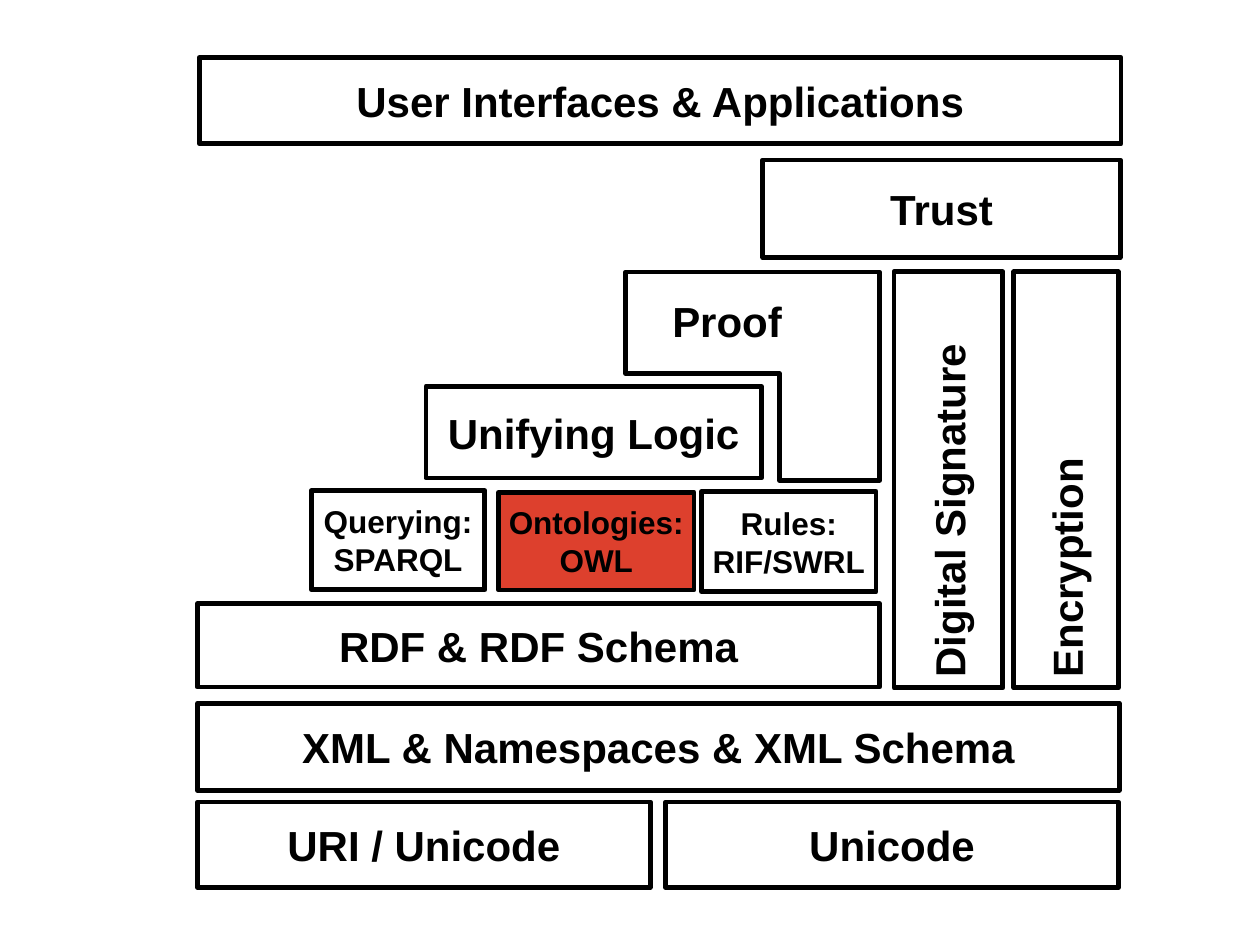
"""Build the semantic web layer stack slide."""
from pptx import Presentation, util as u
from pptx.dml.color import RGBColor
from pptx.enum import shapes, text

COLORS = {"ink": "000000", "highlight": "DD402D", "paper": "FFFFFF"}
FONT = "Arial"
BORDER = 2.75
LARGE, SMALL = 24, 18

LAYERS = [
    (["User Interfaces & Applications"], (112.5, 31.5, 529.5, 52), LARGE),
    (["Trust"], (434.5, 90, 207, 58.5), LARGE),
    (["Unifying Logic"], (242, 219.5, 194.5, 55), LARGE),
    (["Querying:", "SPARQL"], (176.5, 279, 102, 59.5), SMALL),
    (["Ontologies:", "OWL"], (283.5, 280, 114.5, 58.5), SMALL),
    (["Rules:", "RIF/SWRL"], (399.5, 279.5, 102.5, 60), SMALL),
    (["RDF & RDF Schema"], (111.5, 343.5, 392.5, 50.5), LARGE),
    (["XML & Namespaces & XML Schema"], (111.5, 400.5, 529.5, 52.5), LARGE),
    (["URI / Unicode"], (111.5, 457, 261.5, 51.5), LARGE),
    (["Unicode"], (379, 457, 261.5, 51.5), LARGE),
]
PILLARS = [
    ("Digital Signature", (509.5, 154, 65, 240.5)),
    ("Encryption", (578, 154, 62.5, 240.5)),
]
PROOF_OUTLINE = [(357.5, 155.5), (502.5, 155.5), (502.5, 274.5),
                 (445.5, 274.5), (445.5, 213.5), (357.5, 213.5)]
PROOF_LABEL = (371, 163.5, 89, 39.5)


def color(key):
    return RGBColor.from_string(COLORS[key])


def style_border(block, fill=None):
    block.shadow.inherit = False
    block.line.color.rgb = color("ink")
    block.line.width = u.Pt(BORDER)
    if fill:
        block.fill.solid()
        block.fill.fore_color.rgb = color(fill)
    else:
        block.fill.background()


def write(block, lines, size, align=text.PP_ALIGN.CENTER, inset=0):
    frame = block.text_frame
    frame.word_wrap = True
    frame.vertical_anchor = text.MSO_ANCHOR.MIDDLE
    frame.margin_left = frame.margin_right = u.Pt(inset)
    frame.margin_top = frame.margin_bottom = u.Pt(inset)
    frame.text = "\n".join(lines)
    for paragraph in frame.paragraphs:
        paragraph.alignment = align
        paragraph.font.name = FONT
        paragraph.font.size = u.Pt(size)
        paragraph.font.bold = True
        paragraph.font.color.rgb = color("ink")


def add_block(slide, box, fill=None):
    left, top, width, height = box
    block = slide.shapes.add_shape(
        shapes.MSO_SHAPE.RECTANGLE,
        u.Pt(left + BORDER / 2), u.Pt(top + BORDER / 2),
        u.Pt(width - BORDER), u.Pt(height - BORDER))
    style_border(block, fill)
    return block


def add_proof(slide):
    corners = [(u.Pt(x), u.Pt(y)) for x, y in PROOF_OUTLINE]
    builder = slide.shapes.build_freeform(*corners[0])
    builder.add_line_segments(corners[1:], close=True)
    style_border(builder.convert_to_shape())
    label = slide.shapes.add_textbox(*map(u.Pt, PROOF_LABEL))
    write(label, ["Proof"], LARGE)


def main():
    deck = Presentation()
    deck.slide_width, deck.slide_height = u.Pt(720), u.Pt(540)
    slide = deck.slides.add_slide(deck.slide_layouts[6])
    slide.background.fill.solid()
    slide.background.fill.fore_color.rgb = color("paper")

    for lines, box, size in LAYERS:
        fill = "highlight" if "OWL" in lines else None
        write(add_block(slide, box, fill), lines, size)
    for label, box in PILLARS:
        pillar = add_block(slide, box)
        write(pillar, [label], LARGE, text.PP_ALIGN.LEFT, inset=6)
        pillar.text_frame._txBody.bodyPr.set("vert", "vert270")
    add_proof(slide)

    deck.save("out.pptx")


if __name__ == "__main__":
    main()
